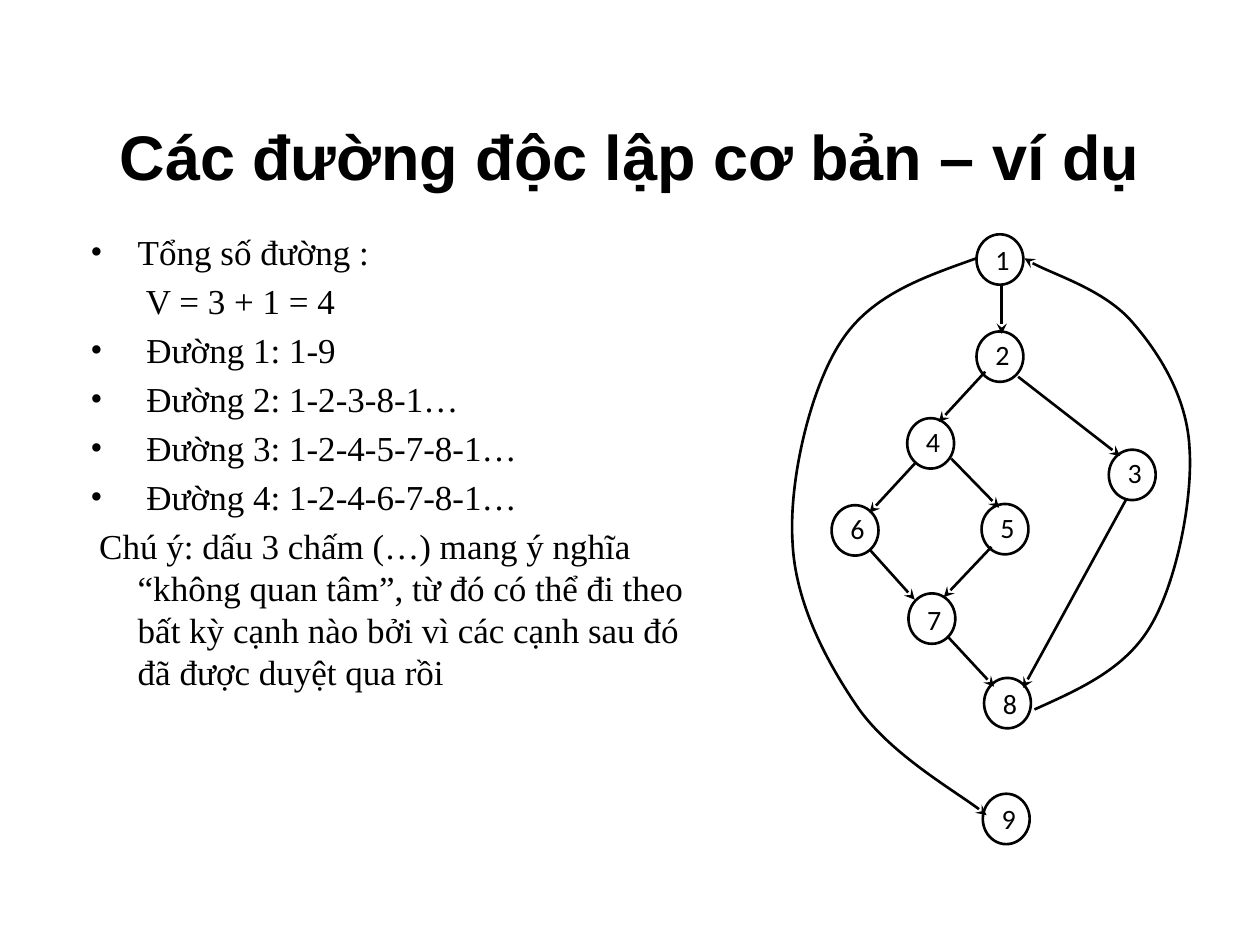
from lxml import etree
from pptx import Presentation
from pptx.enum import shapes as kinds, text as txt
from pptx.dml.color import RGBColor
from pptx.oxml import ns
from pptx.util import Pt

INK = {"black": "000000"}
BLACK = RGBColor.from_string(INK["black"])


def write(par, words, **look):
    """Add a run in black with the given font values."""
    run = par.add_run()
    run.text = words
    run.font.color.rgb = BLACK
    for name, value in look.items():
        setattr(run.font, name, value)


def ink(shape, arrow=False):
    """Give a shape its black line and, on request, a stealth arrowhead."""
    shape.line.color.rgb = BLACK
    shape.line.width = Pt(1.5)
    if arrow:
        ln = shape.line._get_or_add_ln()
        etree.SubElement(ln, ns.qn("a:tailEnd"), type="stealth")


deck = Presentation()
deck.slide_width, deck.slide_height = Pt(720), Pt(540)
slide = deck.slides.add_slide(deck.slide_layouts[5])
draw = slide.shapes

# Title
title = draw.title
place = {"left": 36, "top": 55.4, "width": 648, "height": 67}
for name, value in place.items():
    setattr(title, name, Pt(value))
frame = title.text_frame
frame.vertical_anchor = txt.MSO_ANCHOR.MIDDLE
frame.paragraphs[0].alignment = txt.PP_ALIGN.CENTER
write(frame.paragraphs[0], "Các đường độc lập cơ bản – ví dụ",
      name="Arial", size=Pt(36), bold=True)

# List of paths
items = [
    ("•", "Tổng số đường :"),
    ("", "\t V = 3 + 1 = 4"),
    ("•", " Đường 1: 1-9"),
    ("•", " Đường 2: 1-2-3-8-1…"),
    ("•", " Đường 3: 1-2-4-5-7-8-1…"),
    ("•", " Đường 4: 1-2-4-6-7-8-1…"),
    ("", " Chú ý: dấu 3 chấm (…) mang ý nghĩa “không quan tâm”, từ đó có thể "
         "đi theo bất kỳ cạnh nào bởi vì các cạnh sau đó đã được duyệt qua rồi"),
]
frame = draw.add_textbox(Pt(44.6), Pt(128.2), Pt(366.5), Pt(362.9)).text_frame
frame.word_wrap = True
for i, (mark, words) in enumerate(items):
    par = frame.add_paragraph() if i else frame.paragraphs[0]
    par.space_before = Pt(4)
    props = par._p.get_or_add_pPr()
    props.set("marL", str(Pt(27)))
    props.set("indent", str(Pt(-27)))
    if mark:
        etree.SubElement(props, ns.qn("a:buFont"), typeface="Times New Roman")
        etree.SubElement(props, ns.qn("a:buChar"), char=mark)
    write(par, words, name="Times New Roman", size=Pt(20))

# Nodes: number, left, top, drop of the label
nodes = [
    (1, 558, 133.9, 1.4), (2, 558, 189.4, 0), (3, 633.6, 257, 0),
    (4, 518.4, 239, 0), (5, 560.9, 288, 0), (6, 475.2, 288.7, 0),
    (7, 519.1, 339.1, 1.4), (8, 562.3, 387.4, 1.4), (9, 561.6, 453.6, 0.7),
]
for num, x, y, drop in nodes:
    node = draw.add_shape(kinds.MSO_SHAPE.OVAL, Pt(x), Pt(y), Pt(26.8), Pt(28.8))
    node.shadow.inherit = False
    node.fill.background()
    ink(node)
    label = draw.add_textbox(Pt(x - 14.4), Pt(y + drop), Pt(58.3), Pt(26.6))
    label.text_frame.word_wrap = True
    par = label.text_frame.paragraphs[0]
    par.alignment = txt.PP_ALIGN.CENTER
    write(par, str(num), name="Calibri", size=Pt(16))

# Straight edges
edges = [
    (572.4, 162, 572.4, 190.8),
    (581.8, 215.3, 640.1, 260.6),
    (563, 212.4, 536.4, 241.2),
    (523.4, 264.2, 496.8, 293),
    (543.6, 262.1, 571, 290.2),
    (496.8, 313.9, 522.7, 342.7),
    (566.6, 312.5, 539.3, 341.3),
    (643.7, 285.1, 584.6, 393.1),
    (541.4, 363.6, 568.1, 392.4),
]
for ends in edges:
    edge = draw.add_connector(kinds.MSO_CONNECTOR.STRAIGHT, *map(Pt, ends))
    ink(edge, arrow=True)
    etree.SubElement(edge._element.spPr, ns.qn("a:effectLst"))

# Curved edges: a start, then three Bézier points for each segment
curves = [
    [(591.1, 405.4),
     (617, 393.8), (643, 382.3), (657.4, 357.8),
     (672.5, 332.6), (681.8, 284.4), (679.7, 255.6),
     (678.2, 226.8), (662.4, 201.6), (646.6, 183.6),
     (630.7, 165.6), (595.4, 154.8), (585.4, 147.6)],
    [(558, 147.6),
     (527.8, 158.4), (497.5, 168.5), (480.2, 195.8),
     (463, 222.5), (450.7, 274.3), (452.9, 309.6),
     (454.3, 344.9), (473, 379.4), (491, 405.4),
     (509.8, 431.3), (552.2, 455.8), (563.8, 465.8)],
]
for points in curves:
    start, *rest = [(Pt(x), Pt(y)) for x, y in points]
    pen = draw.build_freeform(*start)
    pen.add_line_segments(rest, close=False)
    curve = pen.convert_to_shape()
    curve.shadow.inherit = False
    curve.fill.background()
    ink(curve, arrow=True)
    # Turn each three straight steps into one cubic segment
    steps = list(curve._element.iter(ns.qn("a:lnTo")))
    track = steps[0].getparent()
    for i in range(0, len(steps), 3):
        bend = etree.SubElement(track, ns.qn("a:cubicBezTo"))
        for step in steps[i:i + 3]:
            bend.append(step[0])
            track.remove(step)

deck.save("out.pptx")
